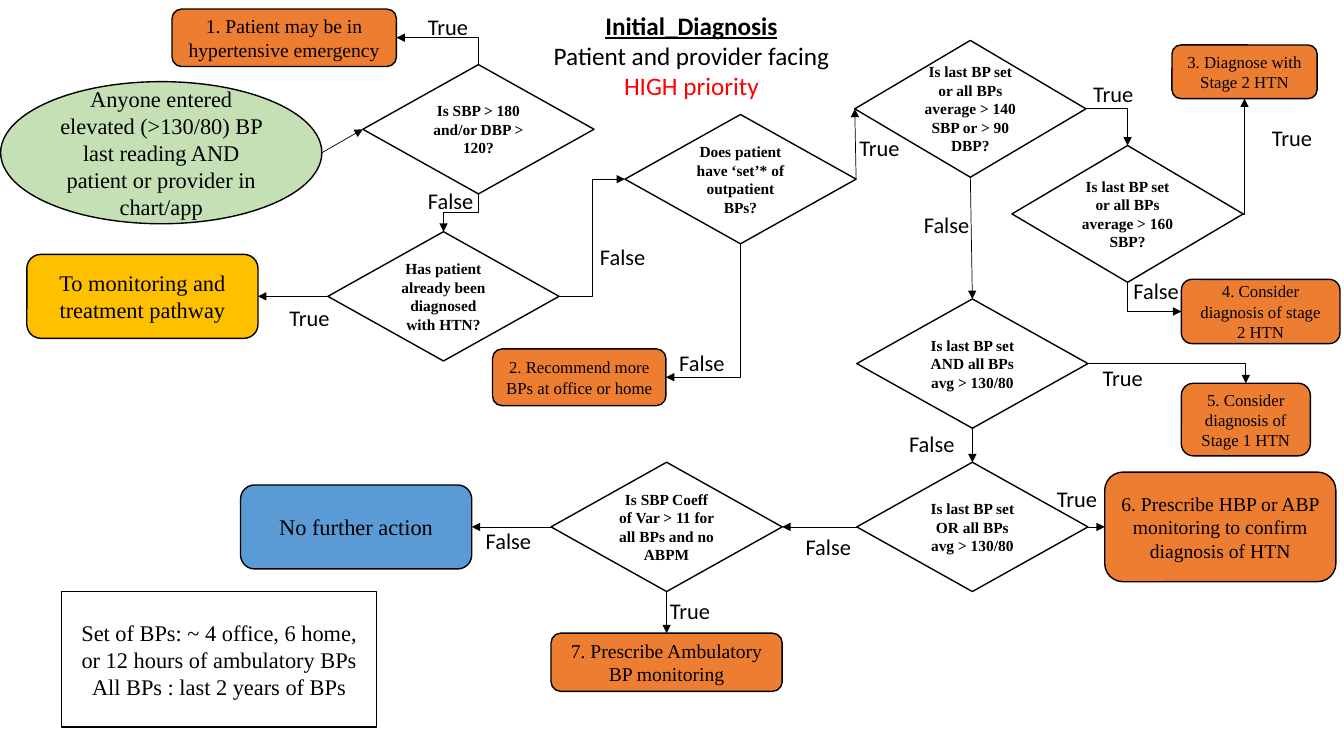
from lxml import etree
from pptx import Presentation
from pptx.dml.color import RGBColor
from pptx.enum.shapes import MSO_CONNECTOR, MSO_SHAPE
from pptx.enum.text import MSO_ANCHOR, MSO_AUTO_SIZE, PP_ALIGN
from pptx.oxml.ns import qn
from pptx.util import Inches, Pt

OVAL, DIAMOND = MSO_SHAPE.OVAL, MSO_SHAPE.DIAMOND
ROUND, RECT = MSO_SHAPE.ROUNDED_RECTANGLE, MSO_SHAPE.RECTANGLE
LINE, ELBOW = MSO_CONNECTOR.STRAIGHT, MSO_CONNECTOR.ELBOW
LEFT, CENTER, MIDDLE = PP_ALIGN.LEFT, PP_ALIGN.CENTER, MSO_ANCHOR.MIDDLE
GROW = MSO_AUTO_SIZE.SHAPE_TO_FIT_TEXT

WIDE, HIGH = Inches(13.33), Inches(7.5)
THEME = {
    "serif": "Times New Roman", "sans": "Calibri",
    "ink": "000000", "alert": "FF0000",
    "edge": 1, "wire": 0.5, "label": 16, "title": 18,
}
# Kind of node: shape, fill, type size, bold
KINDS = {
    "start": (OVAL, "C5E0B4", 16, False),
    "ask": (DIAMOND, "FFFFFF", 11, True),
    "path": (ROUND, "FFC000", 16, False),
    "end": (ROUND, "5B9BD5", 16, False),
    "act": (ROUND, "ED7D31", 14, False),
    "small": (ROUND, "ED7D31", 12, False),
    "note": (RECT, "FFFFFF", 16, False),
}

# Positions and sizes are percentages of the slide; nodes go by their centre.
ASK, TALL, BOX = (17.2, 17.1), (17.2, 18.1), (17.2, 11.1)
NODES = {
    "start": ("start", (12, 20.2), (23.9, 18.8),
              ["Anyone entered elevated (>130/80) BP last reading AND "
               "patient or provider in chart/app"]),
    "urgent": ("act", (21.15, 5), (16.7, 7.6),
               ["1. Patient may be in hypertensive emergency"]),
    "over180": ("ask", (35.6, 17.1), ASK, ["Is SBP > 180 and/or DBP > 120?"]),
    "known": ("ask", (33, 39.2), ASK,
              ["Has patient already been diagnosed with HTN?"]),
    "treat": ("path", (10.6, 39.2), BOX,
              ["To monitoring and treatment pathway"]),
    "has set": ("ask", (55.1, 23.7), ASK,
                ["Does patient have ‘set’* of outpatient BPs?"]),
    "more": ("small", (43.1, 49.9), (12.9, 7.5),
             ["2. Recommend more BPs at office or home"]),
    "over140": ("ask", (72.2, 14.4), TALL,
                ["Is last BP set or all BPs average > 140 SBP or > 90 DBP?"]),
    "over160": ("ask", (83.9, 28.3), TALL,
                ["Is last BP set or all BPs average > 160 SBP?"]),
    "stage2": ("small", (92.6, 9.5), (10.8, 7.1),
               ["3. Diagnose with Stage 2 HTN"]),
    "maybe2": ("small", (93.8, 41.2), (11.8, 8.5),
               ["4. Consider diagnosis of stage 2 HTN"]),
    "both130": ("ask", (72.35, 48.1), ASK,
                ["Is last BP set AND all BPs avg > 130/80"]),
    "maybe1": ("small", (92.7, 55.5), (9.6, 9.6),
               ["5. Consider diagnosis of Stage 1 HTN"]),
    "any130": ("ask", (72.35, 69.7), ASK,
               ["Is last BP set OR all BPs avg > 130/80"]),
    "home": ("act", (90.8, 69.7), (17.2, 14.5),
             ["6. Prescribe HBP or ABP monitoring to confirm "
              "diagnosis of HTN"]),
    "varies": ("ask", (49.6, 69.7), ASK,
               ["Is SBP Coeff of Var > 11 for all BPs and no ABPM"]),
    "monitor": ("act", (49.6, 87.6), (17.2, 7.7),
                ["7. Prescribe Ambulatory BP monitoring"]),
    "none": ("end", (26.5, 69.7), BOX, ["No further action"]),
    "note": ("note", (16.3, 87.2), (23.4, 17.9),
             ["Set of BPs: ~ 4 office, 6 home, or 12 hours of ambulatory BPs",
              "All BPs : last 2 years of BPs"]),
}

# Connection sites, counted from the top and counter-clockwise
TOP, WEST, FOOT, EAST = range(4)
SITES = {TOP: (0.5, 0), WEST: (0, 0.5), FOOT: (0.5, 1), EAST: (1, 0.5)}
# From, site, to, site, kind, label, left and top of label
LINKS = [
    ("start", EAST, "over180", WEST, LINE, None, None),
    ("over180", TOP, "urgent", EAST, ELBOW, "True", (31.1, 1.1)),
    ("over180", FOOT, "known", TOP, ELBOW, "False", (31.1, 24.1)),
    ("known", WEST, "treat", EAST, LINE, "True", (20.8, 39.6)),
    ("known", EAST, "has set", WEST, ELBOW, "False", (43.9, 31.5)),
    ("has set", FOOT, "more", EAST, ELBOW, "False", (49.8, 45.5)),
    ("has set", EAST, "over140", WEST, LINE, "True", (63.2, 17.1)),
    ("over140", EAST, "over160", TOP, ELBOW, "True", (80.6, 10)),
    ("over140", FOOT, "both130", TOP, LINE, "False", (68, 27.3)),
    ("over160", EAST, "stage2", FOOT, ELBOW, "True", (93.9, 15.7)),
    ("over160", FOOT, "maybe2", WEST, ELBOW, "False", (83.6, 36)),
    ("both130", EAST, "maybe1", TOP, ELBOW, "True", (81.3, 47.5)),
    ("both130", FOOT, "any130", TOP, LINE, "False", (66.9, 56.3)),
    ("any130", EAST, "home", WEST, LINE, "True", (77.9, 63.5)),
    ("any130", WEST, "varies", EAST, LINE, "False", (59.2, 69.9)),
    ("varies", FOOT, "monitor", TOP, LINE, "True", (49.1, 78.3)),
    ("varies", WEST, "none", EAST, LINE, "False", (35.4, 69.1)),
]
LABEL = (5.2, 4.9)
TITLE = ((38, 0.7), (26.9, 13.5))
# Text, bold and underlined, colour
HEADS = [("Initial_Diagnosis", True, "ink"),
         ("Patient and provider facing", False, "ink"),
         ("HIGH priority", False, "alert")]


def share(pair):
    """Turn percentages of the slide into lengths."""
    return int(pair[0] * WIDE / 100), int(pair[1] * HIGH / 100)


def write(frame, lines, font, size, align):
    """Fill a frame with one run per paragraph."""
    frame.word_wrap = True
    for i, (text, bold, under, ink) in enumerate(lines):
        para = frame.paragraphs[0] if i == 0 else frame.add_paragraph()
        para.alignment = align
        run = para.add_run()
        run.text = text
        face = run.font
        face.name, face.size = THEME[font], Pt(size)
        face.bold, face.underline = bold, under
        face.color.rgb = RGBColor.from_string(THEME[ink])


def node(slide, kind, mid, size, lines):
    """Draw one node about its centre."""
    form, fill, points, bold = KINDS[kind]
    (x, y), (w, h) = share(mid), share(size)
    shape = slide.shapes.add_shape(form, x - w // 2, y - h // 2, w, h)
    shape.shadow.inherit = False
    shape.fill.solid()
    shape.fill.fore_color.rgb = RGBColor.from_string(fill)
    shape.line.color.rgb = RGBColor.from_string(THEME["ink"])
    shape.line.width = Pt(THEME["edge"])
    shape.text_frame.vertical_anchor = MIDDLE
    write(shape.text_frame, [(t, bold, False, "ink") for t in lines],
          "serif", points, CENTER)
    return shape


def note(slide, spot, size, lines, points, align):
    """Add a free text box."""
    box = slide.shapes.add_textbox(*share(spot), *share(size))
    write(box.text_frame, lines, "sans", points, align)
    box.text_frame.auto_size = GROW


def site(shape, side):
    """Find the point of a connection site."""
    fx, fy = SITES[side]
    return int(shape.left + fx * shape.width), int(shape.top + fy * shape.height)


def bend(wire, tip, tail, side, turns):
    """Route an elbow so that it leaves its site at a right angle."""
    dx, dy = tail[0] - tip[0], tail[1] - tip[1]
    w, h, turn, across, down = abs(dx), abs(dy), 0, dx < 0, dy < 0
    if side in (TOP, FOOT):
        w, h, across = h, w, False
        turn, down = (90, dx > 0) if dy > 0 else (270, dx < 0)
    wire.left = (tip[0] + tail[0] - w) // 2
    wire.top = (tip[1] + tail[1] - h) // 2
    wire.width, wire.height = w, h
    props = wire._element.spPr
    frame = props.find(qn("a:xfrm"))
    frame.set("rot", str(turn * 60000))
    frame.set("flipH", str(int(across)))
    frame.set("flipV", str(int(down)))
    props.find(qn("a:prstGeom")).set("prst", f"bentConnector{turns + 1}")


def link(slide, first, out, last, into, kind):
    """Join two nodes with an arrow."""
    tip, tail = site(first, out), site(last, into)
    wire = slide.shapes.add_connector(kind, *tip, *tail)
    if first.auto_shape_type != OVAL:  # an oval numbers its sites differently
        wire.begin_connect(first, out)
    wire.end_connect(last, into)
    if kind == ELBOW:
        bend(wire, tip, tail, out, 2 if out % 2 == into % 2 else 1)
    wire.line.color.rgb = RGBColor.from_string(THEME["ink"])
    wire.line.width = Pt(THEME["wire"])
    etree.SubElement(wire.line._get_or_add_ln(), qn("a:tailEnd"), type="triangle")
    etree.SubElement(wire._element.spPr, qn("a:effectLst"))


deck = Presentation()
deck.slide_width, deck.slide_height = WIDE, HIGH
page = deck.slides.add_slide(deck.slide_layouts[6])
shapes = {name: node(page, *data) for name, data in NODES.items()}
for first, out, last, into, kind, text, spot in LINKS:
    link(page, shapes[first], out, shapes[last], into, kind)
    if text:
        note(page, spot, LABEL, [(text, False, False, "ink")],
             THEME["label"], LEFT)
note(page, *TITLE, [(t, mark, mark, ink) for t, mark, ink in HEADS],
     THEME["title"], CENTER)
deck.save("out.pptx")
